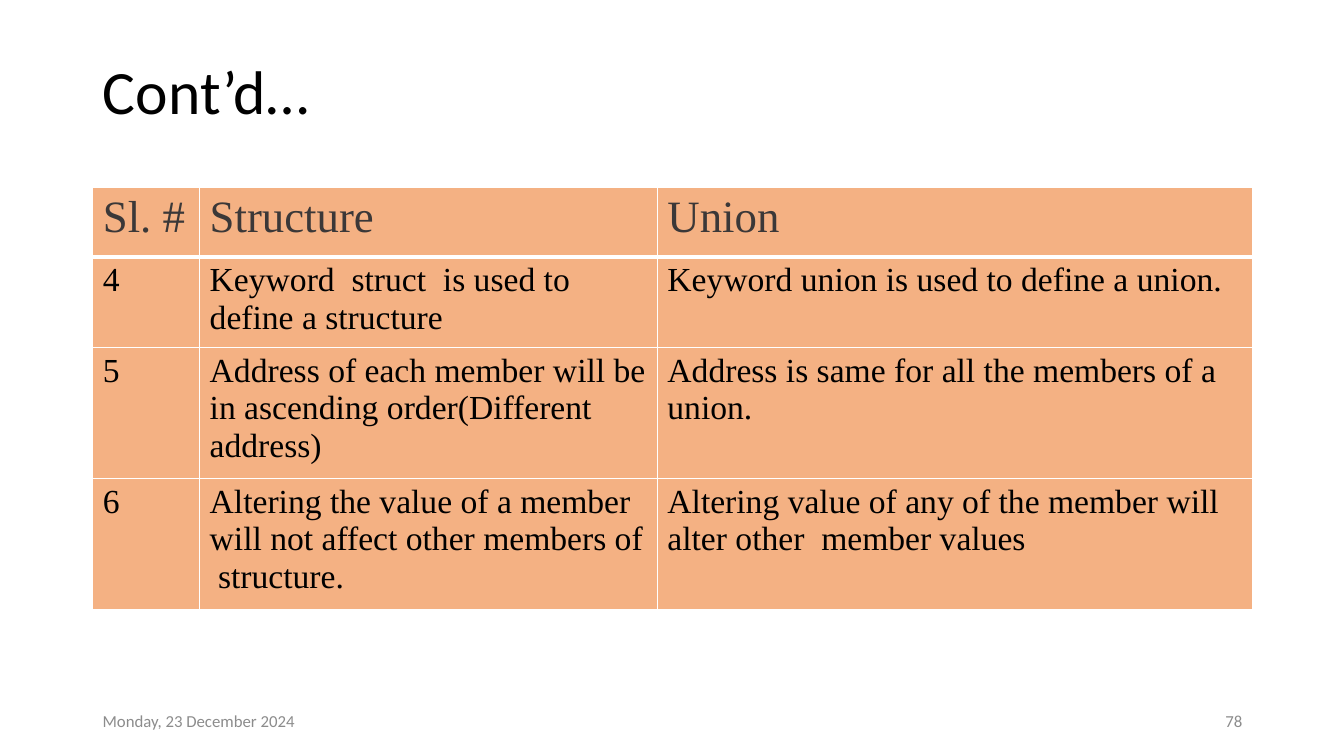
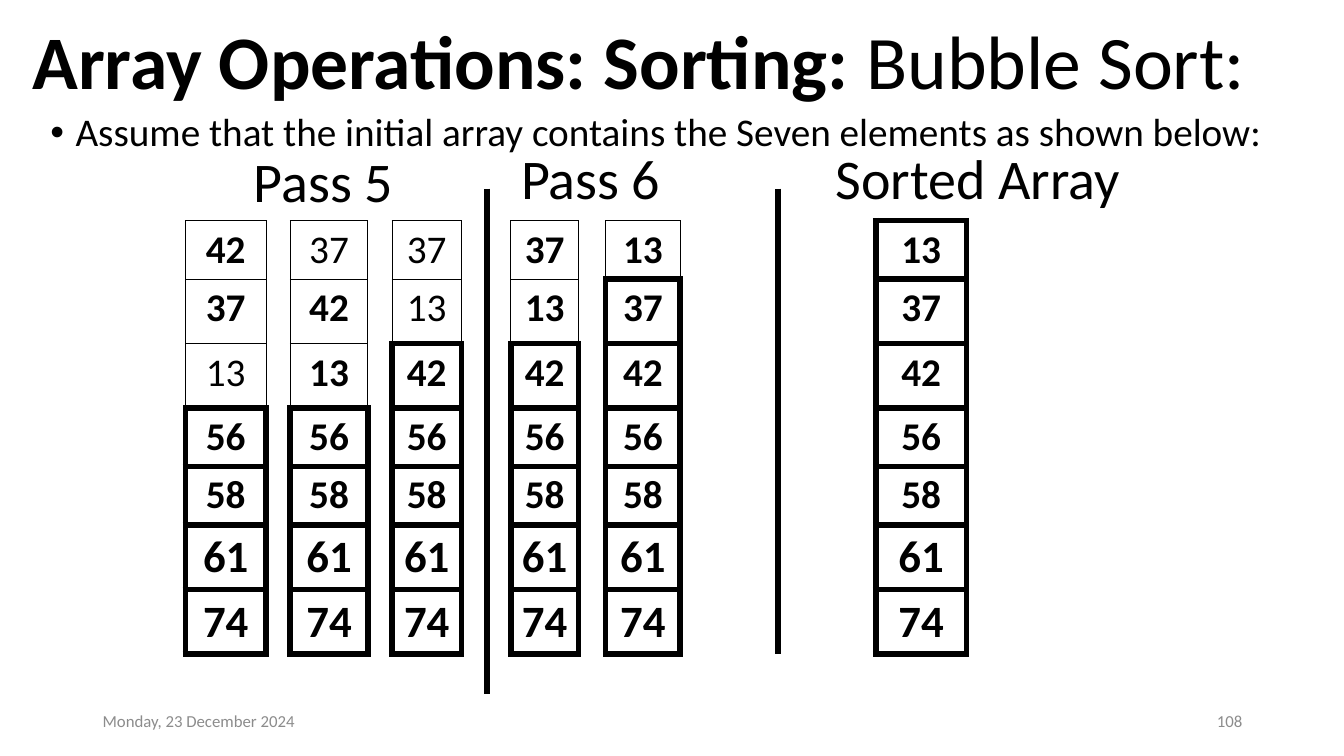
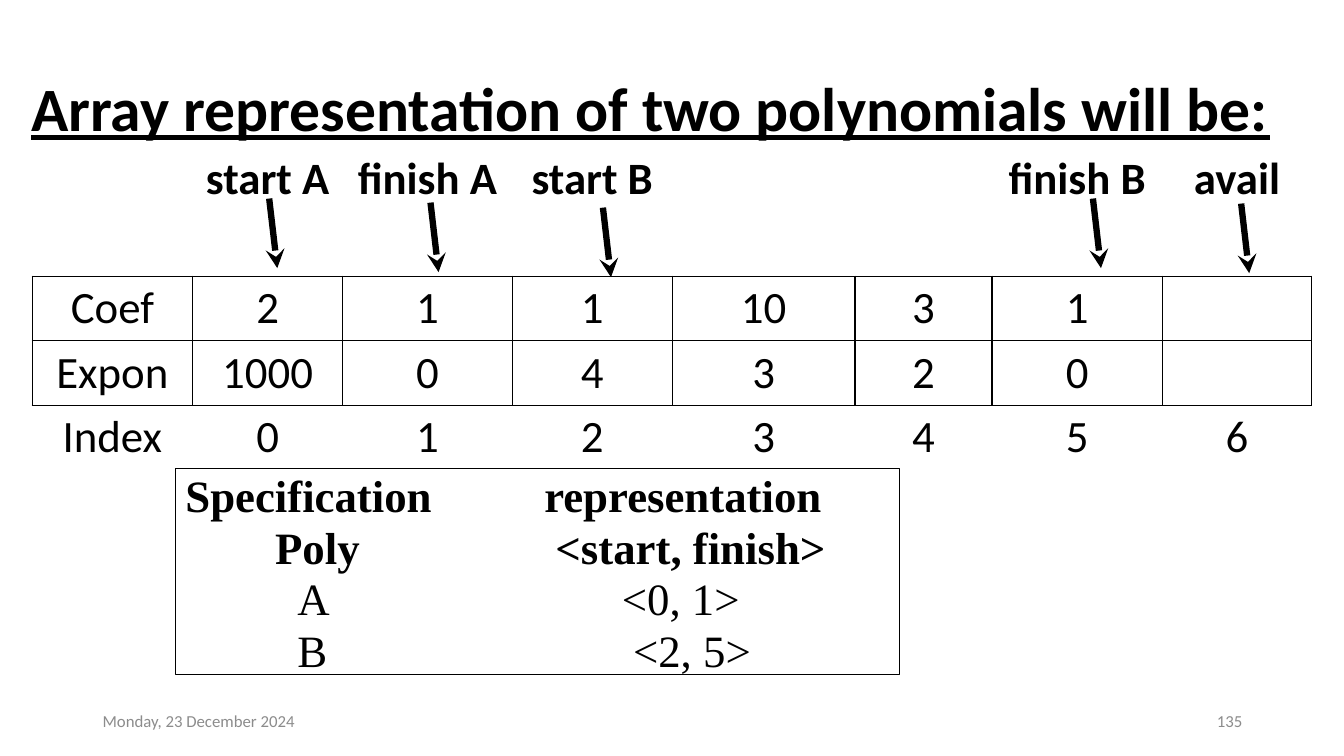
from lxml import etree
from pptx import Presentation
from pptx import util as u
from pptx.dml.color import RGBColor
from pptx.enum import shapes, text
from pptx.oxml.ns import qn

BLACK, WHITE, GREY, HEADING, ORANGE = "000000", "FFFFFF", "8C8C8C", "3B3838", "F4B183"
NO_STYLE = "{2D5ABB26-0587-4C30-8999-92F81FD0307C}"
SANS, SERIF = "Calibri", "Times New Roman"
LEFT, RIGHT, CENTER = text.PP_ALIGN.LEFT, text.PP_ALIGN.RIGHT, text.PP_ALIGN.CENTER
MIDDLE = text.MSO_ANCHOR.MIDDLE


def write(paragraph, words, size, font=SANS, color=BLACK, align=LEFT, **style):
    """Add one formatted run to a paragraph."""
    paragraph.alignment = align
    run = paragraph.add_run()
    run.text = words
    look = {"size": u.Pt(size), "name": font, "bold": False, **style}
    for key, value in look.items():
        setattr(run.font, key, value)
    run.font.color.rgb = RGBColor.from_string(color)


def edge(cell, sides, width, color=BLACK):
    """Draw the named sides of a cell, given in the order L, R, T, B."""
    props = cell._tc.get_or_add_tcPr()
    for side in sides:
        line = etree.SubElement(props, qn("a:ln" + side), w=str(u.Pt(width)))
        fill = etree.SubElement(line, qn("a:solidFill"))
        etree.SubElement(fill, qn("a:srgbClr"), val=color)


deck = Presentation()
deck.slide_width, deck.slide_height = u.Inches(13.33), u.Inches(7.5)

# Titles and footers: layout, page number, title box, size, runs
pages = [
    (5, "78", (0.92, 0.4, 11.5, 1.08), 44, [("Cont’d…", {})]),
    (1, "108", (0.22, 0.1, 12.87, 1.09), 54,
     [("Array Operations: Sorting:", {"bold": True}), (" Bubble Sort:", {})]),
    (5, "135", (0.21, 0.38, 12.72, 1.45), 44,
     [("Array representation of two polynomials will be:",
       {"bold": True, "underline": True})]),
]
slides = []
for layout, number, box, size, runs in pages:
    slide = deck.slides.add_slide(deck.slide_layouts[layout])
    slides.append(slide)
    title = slide.shapes.title
    title.left, title.top, title.width, title.height = map(u.Inches, box)
    title.text_frame.auto_size = text.MSO_AUTO_SIZE.NONE
    title.text_frame.vertical_anchor = MIDDLE
    heading = title.text_frame.paragraphs[0]
    heading.line_spacing = 0.9
    for words, style in runs:
        write(heading, words, size, **style)
    for left, words, align in [(0.92, "Monday, 23 December 2024", LEFT),
                               (9.42, number, RIGHT)]:
        footer = slide.shapes.add_textbox(
            u.Inches(left), u.Inches(6.95), u.Inches(3), u.Inches(0.4)).text_frame
        footer.word_wrap = True
        footer.vertical_anchor = MIDDLE
        write(footer.paragraphs[0], words, 12, color=GREY, align=align)
comparison_slide, sorting_slide, polynomial_slide = slides

# Tables: slide, position, column widths, row heights
layouts = [
    (comparison_slide, (0.92, 1.86), [1.06, 4.54, 5.9], [0.69, 0.83, 1.2, 1.2]),
    (sorting_slide, (1.6, 1.87),
     [0.23, 0.8, 0.23, 0.77, 0.23, 0.69, 0.25, 0.24, 0.67, 0.27, 0.74,
      0.97, 0.97, 0.9, 0.66],
     [0.32, 0.58, 0.64, 0.64, 0.58, 0.58, 0.64, 0.64, 0.4]),
    (polynomial_slide, (0.32, 1.46),
     [1.59, 1.49, 1.68, 1.59, 1.81, 1.36, 1.69, 1.48], [0.64] * 5),
]
tables = []
for slide, (left, top), widths, heights in layouts:
    frame = slide.shapes.add_table(
        len(heights), len(widths), u.Inches(left), u.Inches(top),
        u.Inches(sum(widths)), u.Inches(sum(heights)))
    for style_id in frame._element.iter(qn("a:tableStyleId")):
        style_id.text = NO_STYLE
    for column, width in zip(frame.table.columns, widths):
        column.width = u.Inches(width)
    for row, height in zip(frame.table.rows, heights):
        row.height = u.Inches(height)
    tables.append(frame.table)
comparison, passes, polynomials = tables

# Structure and union compared
differences = [
    ("Sl. #", "Structure", "Union"),
    ("4", "Keyword  struct  is used to define a structure",
     "Keyword union is used to define a union."),
    ("5", "Address of each member will be in ascending order(Different address)",
     "Address is same for all the members of a union."),
    ("6", "Altering the value of a member will not affect other members of  structure.",
     "Altering value of any of the member will alter other  member values"),
]
for r, entries in enumerate(differences):
    size, color = (24, BLACK) if r else (32, HEADING)
    for c, words in enumerate(entries):
        cell = comparison.cell(r, c)
        edge(cell, "LRT", 1, WHITE)
        edge(cell, "B", 1 if r else 3, WHITE)
        cell.fill.solid()
        cell.fill.fore_color.rgb = RGBColor.from_string(ORANGE)
        write(cell.text_frame.paragraphs[0], words, size, SERIF, color)

# Bubble sort: introduction
intro = sorting_slide.placeholders[1]
intro.left, intro.top, intro.width, intro.height = map(u.Inches, (0.4, 1.07, 12.54, 0.69))
intro.text_frame.auto_size = text.MSO_AUTO_SIZE.NONE
bullet = intro.text_frame.paragraphs[0]
bullet.line_spacing, bullet.space_before = 0.9, u.Pt(10)
write(bullet, "Assume that the initial array contains the Seven elements as shown below:", 28)
indent = bullet._p.get_or_add_pPr()
indent.set("marL", str(u.Inches(0.25)))
indent.set("indent", str(u.Inches(-0.25)))

# Bubble sort: table column -> first elements, compared positions, sorted-from position
states = {
    1: ([42, 37, 13], (0, 1), 3),
    3: ([37, 42, 13], (1, 2), 3),
    5: ([37, 13, 42], (), 2),
    8: ([37, 13, 42], (0, 1), 2),
    10: ([13, 37, 42], (0,), 1),
    13: ([13, 37, 42], (), 0),
}
dividers = {6: 9, 11: 8}  # column -> rows its right-hand rule spans
for r in range(len(passes.rows)):
    for c in range(len(passes.columns)):
        cell = passes.cell(r, c)
        if c in states and 1 <= r <= 7:
            start, compared, sorted_from = states[c]
            position = r - 1
            done = position >= sorted_from
            edge(cell, "LRTB", 4.5 if done else 0.75)
            write(cell.text_frame.paragraphs[0],
                  str((start + [56, 58, 61, 74])[position]),
                  32 if position > 4 else 28, align=CENTER,
                  bold=done or position in compared)
        else:
            cell.margin_top = cell.margin_bottom = 0
            if r < dividers.get(c, 0):
                edge(cell, "R", 4.5)
        cell.fill.background()

for words, left, top, width in [("Pass 5", 2.42, 1.4, 1.6), ("Pass 6", 5.07, 1.37, 1.6),
                                ("Sorted Array", 8.19, 1.37, 3.05)]:
    caption = sorting_slide.shapes.add_textbox(
        u.Inches(left), u.Inches(top), u.Inches(width), u.Inches(0.77)).text_frame
    caption.word_wrap = False
    write(caption.paragraphs[0], words, 40)

# Polynomial array
array_rows = [
    ["", "start A", "finish A", "start B", "", "", "finish B", "avail"],
    [""] * 8,
    ["Coef", "2", "1", "1", "10", "3", "1", ""],
    ["Expon", "1000", "0", "4", "3", "2", "0", ""],
    ["Index", *map(str, range(7))],
]
for r, entries in enumerate(array_rows):
    for c, words in enumerate(entries):
        cell = polynomials.cell(r, c)
        if r in (2, 3):
            edge(cell, "LRTB", 1)
        cell.fill.background()
        if words:
            write(cell.text_frame.paragraphs[0], words, 32, align=CENTER, bold=r == 0)

# Arrows from the labels to the array
for x, y in [(2.67, 1.97), (4.27, 2.01), (5.98, 2.06), (10.84, 1.97), (12.31, 2.02)]:
    pointer = polynomial_slide.shapes.add_connector(
        shapes.MSO_CONNECTOR.STRAIGHT, u.Inches(x), u.Inches(y),
        u.Inches(x + 0.08), u.Inches(y + 0.69))
    pointer.line.width = u.Pt(4.5)
    pointer.line.color.rgb = RGBColor.from_string(BLACK)
    etree.SubElement(pointer.line._get_or_add_ln(), qn("a:tailEnd"), type="stealth")
    etree.SubElement(pointer._element.spPr, qn("a:effectLst"))

# Specification box: text, tab stops in inches, bold
summary = polynomial_slide.shapes.add_shape(
    shapes.MSO_SHAPE.RECTANGLE, u.Inches(1.74), u.Inches(4.65), u.Inches(7.18), u.Inches(2.04))
summary.shadow.inherit = False
summary.fill.background()
summary.line.width = u.Pt(0.75)
summary.line.color.rgb = RGBColor.from_string(BLACK)
summary.text_frame.word_wrap = True
summary.text_frame.vertical_anchor = text.MSO_ANCHOR.TOP
for i, (words, stops, bold) in enumerate([
        ("Specification\trepresentation", [3.56], True),
        ("\tPoly\t<start, finish>", [0.89, 3.67], True),
        ("\tA\t<0, 1>", [1.11, 4.33], False),
        ("\tB\t<2, 5>", [1.11, 4.44], False)]):
    frame = summary.text_frame
    entry = frame.add_paragraph() if i else frame.paragraphs[0]
    entry.line_spacing, entry.space_before = 0.9, u.Pt(2.4)
    write(entry, words, 32, SERIF, bold=bold)
    tabs = etree.SubElement(entry._p.get_or_add_pPr(), qn("a:tabLst"))
    for stop in stops:
        etree.SubElement(tabs, qn("a:tab"), pos=str(u.Inches(stop)), algn="l")

deck.save("out.pptx")
